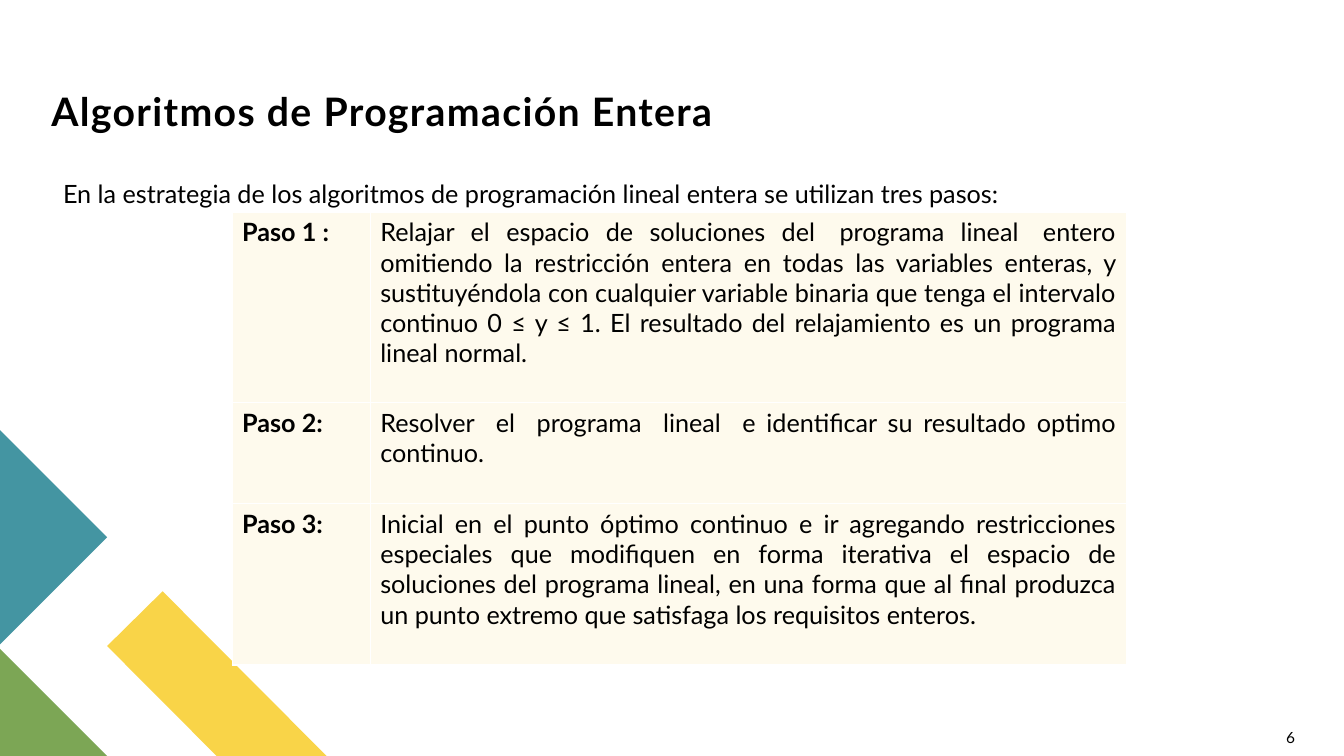
import pptx
import pptx.util
import pptx.dml.color
import pptx.enum.text
import pptx.oxml
import pptx.oxml.ns

Cm, Pt = pptx.util.Cm, pptx.util.Pt
RGBColor = pptx.dml.color.RGBColor
PP_ALIGN = pptx.enum.text.PP_ALIGN
MSO_ANCHOR = pptx.enum.text.MSO_ANCHOR
MSO_AUTO_SIZE = pptx.enum.text.MSO_AUTO_SIZE

BLACK = RGBColor(0x00, 0x00, 0x00)
YELLOW = RGBColor(0xF9, 0xD4, 0x48)
GREEN = RGBColor(0x7C, 0xA6, 0x55)
TEAL = RGBColor(0x44, 0x95, 0xA2)
CREAM = RGBColor(0xFE, 0xFA, 0xED)

STEPS = [
    ("Paso 1 :", "Relajar  el  espacio  de  soluciones  del   programa  lineal   entero "
     "omitiendo la restricción entera en todas las variables enteras, y "
     "sustituyéndola con cualquier variable binaria que tenga el intervalo "
     "continuo 0 ≤ y ≤ 1. El resultado del relajamiento es un programa lineal normal."),
    ("Paso 2:", "Resolver  el  programa  lineal  e identificar su resultado optimo continuo."),
    ("Paso 3:", "Inicial en el punto óptimo continuo e ir agregando restricciones "
     "especiales que modifiquen en forma iterativa el espacio de soluciones del "
     "programa lineal, en una forma que al final produzca un punto extremo que "
     "satisfaga los requisitos enteros."),
]


class SlideBuilder:
    """Holds the text style and the slide being filled."""

    font = "Lato"
    body_size = 18

    def __init__(self, prs):
        self.s = prs.slides.add_slide(prs.slide_layouts[5])

    def set_text(self, tf, text, size=body_size, bold=False, align=PP_ALIGN.LEFT):
        tf.text = text
        tf.word_wrap = True
        p = tf.paragraphs[0]
        p.alignment = align
        f = p.runs[0].font
        f.name, f.size, f.bold = self.font, Pt(size), bold
        f.color.rgb = BLACK
        return p

    def title(self, text, left, top, width, height):
        sp = self.s.shapes.title
        sp.left, sp.top, sp.width, sp.height = map(Cm, (left, top, width, height))
        tf = sp.text_frame
        p = self.set_text(tf, text, 28, bold=True)
        tf.auto_size = MSO_AUTO_SIZE.NONE
        tf.vertical_anchor = MSO_ANCHOR.MIDDLE
        p.line_spacing = 0.9
        p.runs[0].font._element.set("spc", "100")

    def intro(self, text, left, top, width, height):
        sp = self.s.shapes.add_textbox(*map(Cm, (left, top, width, height)))
        p = self.set_text(sp.text_frame, text, align=PP_ALIGN.JUSTIFY)
        p.line_spacing = 0.9
        p.space_before = Pt(6)
        p._p.get_or_add_pPr().set("marL", str(Cm(0.3)))

    def page_number(self, text, left, top, width, height):
        tf = self.s.shapes.add_textbox(*map(Cm, (left, top, width, height))).text_frame
        tf.margin_left = tf.margin_right = tf.margin_top = tf.margin_bottom = 0
        self.set_text(tf, text, 11)

    def polygon(self, points, color):
        start, *rest = [(Cm(x), Cm(y)) for x, y in points]
        builder = self.s.shapes.build_freeform(*start)
        builder.add_line_segments(rest, close=True)
        sp = builder.convert_to_shape()
        sp.shadow.inherit = False
        sp.fill.solid()
        sp.fill.fore_color.rgb = color
        sp.line.fill.background()

    def table(self, rows, left, top, widths, heights):
        frame = self.s.shapes.add_table(
            len(rows), len(widths), Cm(left), Cm(top), Cm(sum(widths)), Cm(sum(heights)))
        table = frame.table
        table.first_row = table.horz_banding = False
        for column, width in zip(table.columns, widths):
            column.width = Cm(width)
        for row, height, texts in zip(table.rows, heights, rows):
            row.height = Cm(height)
            label, detail = row.cells
            self.set_text(label.text_frame, texts[0], bold=True)
            self.set_text(detail.text_frame, texts[1], align=PP_ALIGN.JUSTIFY)
            for cell in (label, detail):
                self.border(cell)
                cell.fill.solid()
                cell.fill.fore_color.rgb = CREAM

    def border(self, cell):
        """Draw a thin white line on all four sides of the cell."""
        tc_pr = cell._tc.get_or_add_tcPr()
        for side in ("lnL", "lnR", "lnT", "lnB"):
            tc_pr.append(pptx.oxml.parse_xml(
                f'<a:{side} {pptx.oxml.ns.nsdecls("a")} w="{Pt(1)}"><a:solidFill>'
                f'<a:srgbClr val="FFFFFF"/></a:solidFill></a:{side}>'))


def main():
    prs = pptx.Presentation()
    prs.slide_width, prs.slide_height = Cm(33.87), Cm(19.05)
    slide = SlideBuilder(prs)
    slide.polygon([(8.23, 19.05), (5.46, 19.05), (2.7, 16.28), (4.1, 14.9)], YELLOW)
    slide.polygon([(2.7, 19.05), (0, 19.05), (0, 16.35)], GREEN)
    slide.polygon([(0, 10.84), (2.7, 13.54), (0, 16.24)], TEAL)
    slide.intro("En la estrategia de los algoritmos de programación lineal entera "
                "se utilizan tres pasos:", 1.04, 4.45, 30.48, 12.57)
    slide.title("Algoritmos de Programación Entera", 1.04, 1.04, 28.9, 3.68)
    slide.table(STEPS, 5.85, 5.34, widths=(3.48, 19.05), heights=(4.8, 2.55, 4.07))
    slide.page_number("6", 32.41, 18.34, 1.45, 0.69)
    prs.save("out.pptx")


if __name__ == "__main__":
    main()
